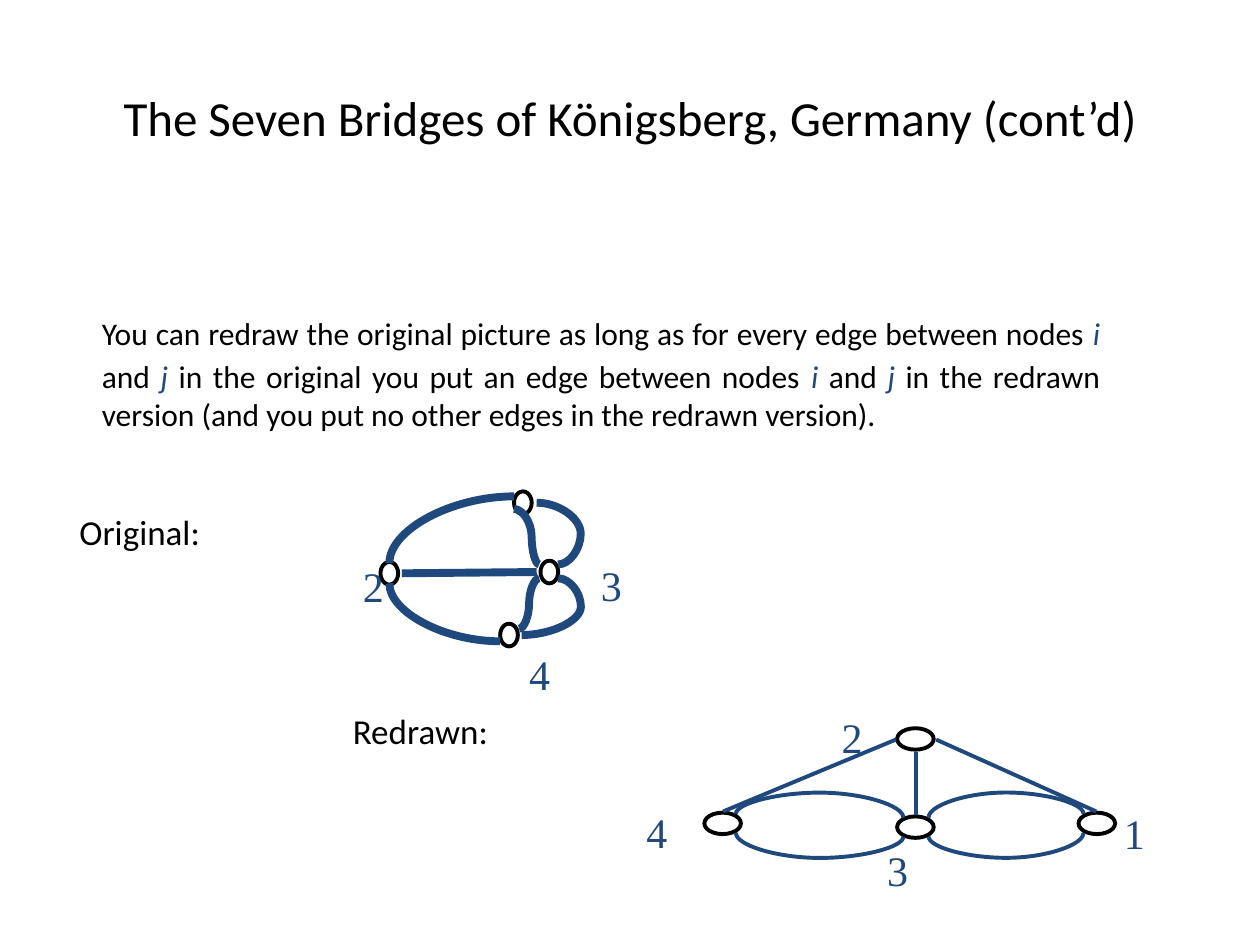
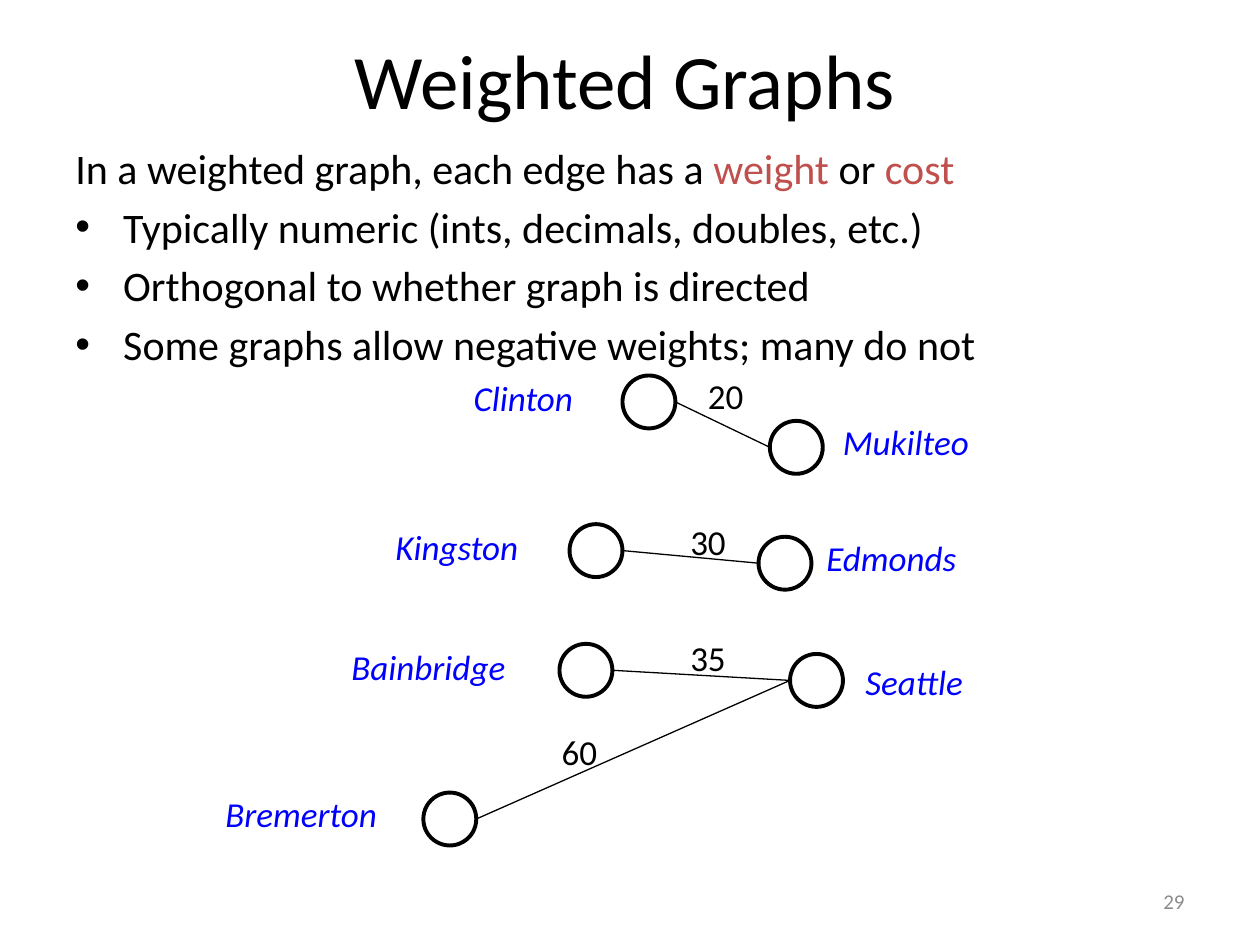
"""Build two slides on graphs: redrawing Königsberg's bridges, and weighted graphs."""
from dataclasses import dataclass
from typing import NamedTuple, Optional

from lxml.etree import SubElement
from pptx import Presentation
from pptx.dml.color import RGBColor
from pptx.enum.shapes import MSO_CONNECTOR as CXN, MSO_SHAPE as SHAPE
from pptx.enum.text import MSO_ANCHOR as ANCHOR, MSO_AUTO_SIZE as AUTO, PP_ALIGN as ALIGN
from pptx.oxml.ns import qn
from pptx.util import Inches, Pt


@dataclass(frozen=True)
class Theme:
    sans: str = "Calibri"
    serif: str = "Times New Roman"
    black: str = "000000"
    white: str = "FFFFFF"
    navy: str = "1F497D"
    red: str = "C0504D"
    blue: str = "0000FF"
    grey: str = "8C8C8C"
    title: int = 44
    long_title: int = 28
    tab: int = 32
    bullet: int = 24
    digit: int = 24
    label: int = 20
    body: int = 18
    footer: int = 12
    node_line: float = 2.25
    bold_edge: float = 4.5
    thin_edge: float = 0.75


T = Theme()


class Box(NamedTuple):
    x: float
    y: float
    w: float
    h: float


class Run(NamedTuple):
    text: str
    size: float
    color: str = T.black
    font: str = T.sans
    italic: bool = False


class Edge(NamedTuple):
    x1: float
    y1: float
    x2: float
    y2: float


class Curve(NamedTuple):
    """Leaves upright or level; via is the turning coordinate, None for a quarter turn."""
    ends: Edge
    upright: bool
    via: Optional[float] = None


class Digit(NamedTuple):
    text: str
    x: float
    y: float


class City(NamedTuple):
    name: str
    x: float
    y: float
    label: Box


class Ferry(NamedTuple):
    west: str
    east: str
    cost: str
    x: float
    y: float


def add_run(p, run: Run) -> None:
    r = p.add_run()
    r.text = run.text
    r.font.size, r.font.name, r.font.italic = Pt(run.size), run.font, run.italic
    r.font.color.rgb = RGBColor.from_string(run.color)


def add_text(s, box: Box, runs: list[Run], align=ALIGN.LEFT, anchor=ANCHOR.TOP,
             inset: float = 0.1, wrap: bool = True, grow: bool = False):
    tf = s.shapes.add_textbox(*map(Inches, box)).text_frame
    tf.word_wrap, tf.vertical_anchor = wrap, anchor
    tf.margin_left = tf.margin_right = Inches(inset)
    tf.auto_size = AUTO.SHAPE_TO_FIT_TEXT if grow else AUTO.NONE
    p = tf.paragraphs[0]
    p.alignment = align
    for run in runs:
        add_run(p, run)
    return tf


def hang(p, bullet: str = "") -> None:
    pPr = p._p.get_or_add_pPr()
    pPr.set("marL", str(Inches(0.38)))
    pPr.set("indent", str(Inches(-0.38)))
    if bullet:
        SubElement(pPr, qn("a:buFont")).set("typeface", "Arial")
        SubElement(pPr, qn("a:buChar")).set("char", bullet)


def add_slide(prs, title: str, box: Box, size: float):
    s = prs.slides.add_slide(prs.slide_layouts[5])
    sp = s.shapes.title
    sp.left, sp.top, sp.width, sp.height = map(Inches, box)
    tf = sp.text_frame
    tf.vertical_anchor, tf.auto_size = ANCHOR.MIDDLE, AUTO.NONE
    p = tf.paragraphs[0]
    p.alignment = ALIGN.CENTER
    add_run(p, Run(title, size))
    return s


def add_node(s, box: Box, filled: bool = False) -> None:
    sp = s.shapes.add_shape(SHAPE.OVAL, *map(Inches, box))
    sp.shadow.inherit = False
    if filled:
        sp.fill.solid()
        sp.fill.fore_color.rgb = RGBColor.from_string(T.white)
    else:
        sp.fill.background()
    sp.line.color.rgb = RGBColor.from_string(T.black)
    sp.line.width = Pt(T.node_line)


def add_edge(s, edge: Edge, color: str, width: float, kind=CXN.STRAIGHT):
    cxn = s.shapes.add_connector(kind, *map(Inches, edge))
    cxn.line.color.rgb = RGBColor.from_string(color)
    cxn.line.width = Pt(width)
    SubElement(cxn._element.spPr, qn("a:effectLst"))
    return cxn


def add_curve(s, curve: Curve, width: float) -> None:
    x1, y1, x2, y2 = curve.ends
    cxn = add_edge(s, curve.ends, T.navy, width, CXN.CURVE)
    spPr = cxn._element.spPr
    xfrm, geom = spPr.find(qn("a:xfrm")), spPr.find(qn("a:prstGeom"))
    if curve.upright:
        w, h = abs(y2 - y1), abs(x2 - x1)
        cxn.left, cxn.top = Inches((x1 + x2 - w) / 2), Inches((y1 + y2 - h) / 2)
        cxn.width, cxn.height = Inches(w), Inches(h)
        xfrm.set("rot", str(90 * 60000))
        xfrm.set("flipH", str(int(y1 > y2)))
        xfrm.set("flipV", str(int(x1 < x2)))
    if curve.via is None:
        geom.set("prst", "curvedConnector2")
        return
    start, end = (y1, y2) if curve.upright else (x1, x2)
    guides = geom.find(qn("a:avLst"))
    if guides is None:
        guides = SubElement(geom, qn("a:avLst"))
    gd = SubElement(guides, qn("a:gd"))
    gd.set("name", "adj1")
    gd.set("fmla", f"val {round((curve.via - start) / (end - start) * 100000)}")


def add_graph(s, nodes: list[Box], edges: list[Edge], curves: list[Curve],
              digits: list[Digit], width: float) -> None:
    for node in nodes:
        add_node(s, node)
    for edge in edges:
        add_edge(s, edge, T.navy, width)
    for curve in curves:
        add_curve(s, curve, width)
    for d in digits:
        add_text(s, Box(d.x, d.y, 0.77, 0.5), [Run(d.text, T.digit, T.navy, T.serif)],
                 inset=0.3, wrap=False, grow=True)


def bridges_slide(prs) -> None:
    s = add_slide(prs, "The Seven Bridges of Königsberg, Germany (cont’d)",
                  Box(0.5, 0.3, 9, 1.25), T.long_title)
    i, j = (Run(name, T.body, T.navy, italic=True) for name in "ij")
    conj = Run(" and ", T.body)
    tf = add_text(s, Box(0.33, 2.25, 8.5, 1.63), [
        Run("\t", T.tab),
        Run("You can redraw the original picture as long as for every edge between nodes ", T.body),
        i, conj, j, Run(" in the original you put an edge between nodes ", T.body), i, conj, j,
        Run(" in the redrawn version (and you put no other edges in the redrawn version).", T.body),
    ], align=ALIGN.JUSTIFY)
    hang(tf.paragraphs[0])
    for text, box in (("Original:", Box(0.33, 4, 2.15, 0.43)),
                      ("Redrawn:", Box(2.5, 5.58, 2.36, 0.43))):
        add_text(s, box, [Run(text, T.label)], inset=0.3, grow=True)

    add_graph(
        s,
        [Box(x, y, 0.29, 0.17) for x, y in ((7.12, 5.78), (5.59, 6.45), (8.56, 6.45), (7.12, 6.48))],
        [Edge(7.11, 5.87, 5.74, 6.44), Edge(7.43, 5.87, 8.7, 6.44), Edge(7.27, 5.97, 7.27, 6.47)],
        [Curve(Edge(5.84, 6.46, 7.17, 6.49), True, 6.29),
         Curve(Edge(7.37, 6.49, 8.6, 6.46), True, 6.29),
         Curve(Edge(5.84, 6.61, 7.17, 6.64), True, 6.81),
         Curve(Edge(7.37, 6.64, 8.6, 6.61), True, 6.81)],
        [Digit("2", 6.38, 5.6), Digit("3", 6.74, 6.65), Digit("4", 4.83, 6.35), Digit("1", 8.62, 6.36)],
        T.node_line)
    add_graph(
        s,
        [Box(x, y, 0.14, 0.18) for x, y in ((3.02, 4.46), (3.97, 4.95), (4.08, 3.9), (4.29, 4.45))],
        [Edge(3.19, 4.55, 4.26, 4.54)],
        [Curve(Edge(4.28, 4.48, 4.08, 4.04), False, 4.22),
         Curve(Edge(4.14, 5.04, 4.43, 4.59), False, 4.61),
         Curve(Edge(4.43, 4.48, 4.26, 3.99), False, 4.61),
         Curve(Edge(3.09, 4.47, 4.08, 3.94), True),
         Curve(Edge(3.09, 4.63, 3.97, 5.09), True),
         Curve(Edge(4.28, 4.59, 4.12, 4.99), False, 4.2)],
        [Digit("4", 3.9, 5.1), Digit("2", 2.58, 4.4), Digit("3", 4.47, 4.39)],
        T.bold_edge)


def weighted_slide(prs) -> None:
    s = add_slide(prs, "Weighted Graphs", Box(0.46, 0, 9, 1.25), T.title)
    tf = add_text(s, Box(0.5, 1.08, 9, 6.25), [
        Run("In a weighted graph, each edge has a ", T.bullet), Run("weight", T.bullet, T.red),
        Run(" or ", T.bullet), Run("cost", T.bullet, T.red)])
    for text in ("Typically numeric (ints, decimals, doubles, etc.)",
                 "Orthogonal to whether graph is directed",
                 "Some graphs allow negative weights; many do not"):
        p = tf.add_paragraph()
        hang(p, "•")
        p.space_before = Pt(0.2 * T.bullet)
        add_run(p, Run(text, T.bullet))
    add_text(s, Box(7.17, 6.95, 2.33, 0.4), [Run("29", T.footer, T.grey)],
             align=ALIGN.RIGHT, anchor=ANCHOR.MIDDLE)

    size, row = 0.42, 0.44
    cities = [
        City("Seattle", 6.27, 5.19, Box(6.77, 5.19, 1.07, row)),
        City("Edmonds", 6.02, 4.26, Box(6.46, 4.21, 1.39, row)),
        City("Mukilteo", 6.11, 3.34, Box(6.59, 3.29, 1.25, row)),
        City("Bainbridge", 4.44, 5.11, Box(2.69, 5.07, 1.55, row)),
        City("Kingston", 4.52, 4.16, Box(3.04, 4.12, 1.29, row)),
        City("Clinton", 4.94, 2.98, Box(3.66, 2.94, 1.08, row)),
        City("Bremerton", 3.36, 6.29, Box(1.69, 6.24, 1.51, row)),
    ]
    ferries = [
        Ferry("Clinton", "Mukilteo", "20", 5.52, 2.92),
        Ferry("Kingston", "Edmonds", "30", 5.38, 4.08),
        Ferry("Bainbridge", "Seattle", "35", 5.38, 5),
        Ferry("Bremerton", "Seattle", "60", 4.36, 5.75),
    ]
    for city in cities:
        add_node(s, Box(city.x, city.y, size, size), filled=True)
        add_text(s, city.label, [Run(city.name, T.label, T.blue, italic=True)], wrap=False, grow=True)
    by_name = {city.name: city for city in cities}
    for ferry in ferries:
        west, east = by_name[ferry.west], by_name[ferry.east]
        add_edge(s, Edge(east.x, east.y + size / 2, west.x + size, west.y + size / 2),
                 T.black, T.thin_edge)
        add_text(s, Box(ferry.x, ferry.y, 0.51, row), [Run(ferry.cost, T.label)], wrap=False, grow=True)


def main() -> None:
    prs = Presentation()
    prs.slide_width, prs.slide_height = Inches(10), Inches(7.5)
    bridges_slide(prs)
    weighted_slide(prs)
    prs.save("out.pptx")


if __name__ == "__main__":
    main()
